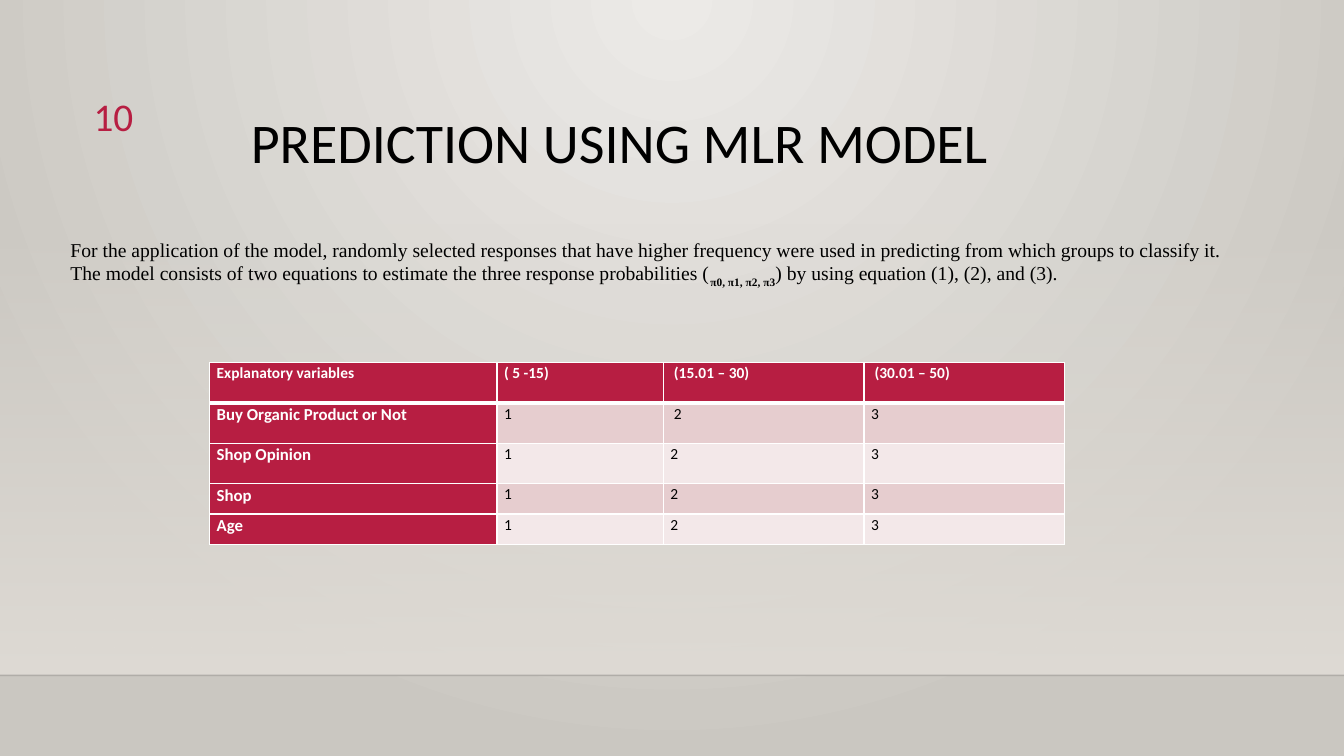
from pptx import Presentation
from pptx.dml.color import RGBColor
from pptx.enum.shapes import MSO_CONNECTOR, MSO_SHAPE
from pptx.enum.text import MSO_ANCHOR, PP_ALIGN
from pptx.oxml import parse_xml
from pptx.oxml.ns import nsdecls, qn
from pptx.util import Inches, Pt
from lxml.etree import SubElement

BLACK = RGBColor(0x00, 0x00, 0x00)
WHITE = RGBColor(0xFF, 0xFF, 0xFF)
CRIMSON = RGBColor(0xB7, 0x1E, 0x42)
PINK = RGBColor(0xE6, 0xCD, 0xCF)
PALE_PINK = RGBColor(0xF3, 0xE8, 0xE9)
BG_LIGHT = RGBColor(0xEC, 0xEA, 0xE7)
BG_DARK = RGBColor(0xCA, 0xC7, 0xC1)
WALL = RGBColor(0xDF, 0xDB, 0xD5)

RADIAL = '<a:path path="circle"><a:fillToRect l="43000" r="43000" b="100000"/></a:path>'
DOWNWARD = '<a:lin ang="5400000" scaled="0"/>'

COLUMNS = [2.85, 1.65, 1.99, 1.99]
ROWS = [0.4, 0.4, 0.4, 0.3, 0.3]
TABLE = [
    ["Explanatory variables", "( 5 -15)", " (15.01 – 30)", " (30.01 – 50)"],
    ["Buy Organic Product or Not", "1", " 2", "3"],
    ["Shop Opinion", "1", "2", "3"],
    ["Shop", "1", "2", "3"],
    ["Age", "1", "2", "3"],
]


def set_gradient(fill, props, start, end, direction, start_alpha=100):
    """Give fill, which lives in the element props, a two-colour gradient."""
    fill.gradient()
    old = props.find(qn("a:gradFill"))
    props.replace(old, parse_xml(
        f'<a:gradFill {nsdecls("a")} rotWithShape="1"><a:gsLst>'
        f'<a:gs pos="0"><a:srgbClr val="{start}"><a:alpha val="{start_alpha * 1000}"/>'
        f'</a:srgbClr></a:gs>'
        f'<a:gs pos="100000"><a:srgbClr val="{end}"/></a:gs>'
        f'</a:gsLst>{direction}</a:gradFill>'))


def add_run(p, text, size=14, font="Calibri", color=BLACK, bold=False, baseline=0):
    r = p.add_run()
    r.text = text
    r.font.size, r.font.name, r.font.bold = Pt(size), font, bold
    r.font.color.rgb = color
    if baseline:
        r.font._element.set("baseline", str(baseline * 1000))


def add_text(s, x, y, w, h, align=PP_ALIGN.LEFT, anchor=MSO_ANCHOR.TOP, spacing=1.0):
    """Add a wrapping text box and return its paragraph."""
    tf = s.shapes.add_textbox(Inches(x), Inches(y), Inches(w), Inches(h)).text_frame
    tf.word_wrap = True
    tf.vertical_anchor = anchor
    p = tf.paragraphs[0]
    p.alignment, p.line_spacing = align, spacing
    return p


def add_backdrop(s):
    bg = s.background.fill
    set_gradient(bg, s._element.cSld.find(qn("p:bg")).find(qn("p:bgPr")),
                 BG_LIGHT, BG_DARK, RADIAL)
    sp = s.shapes.add_shape(MSO_SHAPE.RECTANGLE, 0, Inches(2.21), Inches(13.33), Inches(4.49))
    sp.shadow.inherit = False
    sp.line.fill.background()
    set_gradient(sp.fill, sp._element.spPr, WALL, WALL, DOWNWARD, start_alpha=0)

    # Floor line
    line = s.shapes.add_connector(MSO_CONNECTOR.STRAIGHT, 0, Inches(6.7),
                                  Inches(13.33), Inches(6.7))
    line.line.color.rgb = BLACK
    line.line.width = Pt(1)
    spPr = line._element.spPr
    color = spPr.find(".//" + qn("a:srgbClr"))
    SubElement(color, qn("a:alpha")).set("val", "20000")
    SubElement(spPr, qn("a:effectLst"))


def set_borders(cell, bottom):
    tcPr = cell._tc.get_or_add_tcPr()
    for i, (side, width) in enumerate([("L", 1), ("R", 1), ("T", 1), ("B", bottom)]):
        tcPr.insert(i, parse_xml(
            f'<a:ln{side} {nsdecls("a")} w="{Pt(width)}"><a:solidFill>'
            f'<a:srgbClr val="{WHITE}"/></a:solidFill></a:ln{side}>'))


def fill_cell(cell, text, row, col):
    header = row == 0 or col == 0
    cell.fill.solid()
    cell.fill.fore_color.rgb = CRIMSON if header else (PINK if row % 2 else PALE_PINK)
    cell.margin_left = cell.margin_right = Inches(0.07)
    cell.margin_top = cell.margin_bottom = 0
    p = cell.text_frame.paragraphs[0]
    p.line_spacing = 1.07
    if row and not col:
        p.alignment = PP_ALIGN.JUSTIFY
    add_run(p, text, size=12 if row and not col else 11,
            color=WHITE if header else BLACK, bold=header)
    set_borders(cell, bottom=1 if row else 3)


def add_variables_table(s):
    table = s.shapes.add_table(len(ROWS), len(COLUMNS), Inches(2.08), Inches(3.6),
                               Inches(sum(COLUMNS)), Inches(sum(ROWS))).table
    for column, width in zip(table.columns, COLUMNS):
        column.width = Inches(width)
    for row, height in zip(table.rows, ROWS):
        row.height = Inches(height)
    for row, texts in enumerate(TABLE):
        for col, text in enumerate(texts):
            fill_cell(table.cell(row, col), text, row, col)


def main():
    prs = Presentation()
    prs.slide_width, prs.slide_height = Inches(13.33), Inches(7.5)
    s = prs.slides.add_slide(prs.slide_layouts[6])
    add_backdrop(s)

    # Title and slide number
    p = add_text(s, 1.26, 1.06, 9.65, 0.77, PP_ALIGN.CENTER, MSO_ANCHOR.MIDDLE, 0.9)
    add_run(p, " ", size=36)
    add_run(p, "PREDICTION USING MLR MODEL", size=40)
    p = add_text(s, 0.53, 0.87, 0.89, 0.55, PP_ALIGN.RIGHT)
    add_run(p, "10", size=28, color=CRIMSON)

    add_variables_table(s)

    # Explanation
    p = add_text(s, 0.6, 2.31, 11.78, 0.57)
    serif = "Times New Roman"
    add_run(p, "For the application of the model, randomly selected responses that have "
               "higher frequency were used in predicting from which groups to classify it. "
               "The model consists of two equations to estimate the three response "
               "probabilities (", font=serif)
    add_run(p, "π0, π1, π2, π3", font=serif, bold=True, baseline=-30)
    add_run(p, ") by using equation (1), (2), and (3).", font=serif)

    prs.save("out.pptx")


main()
